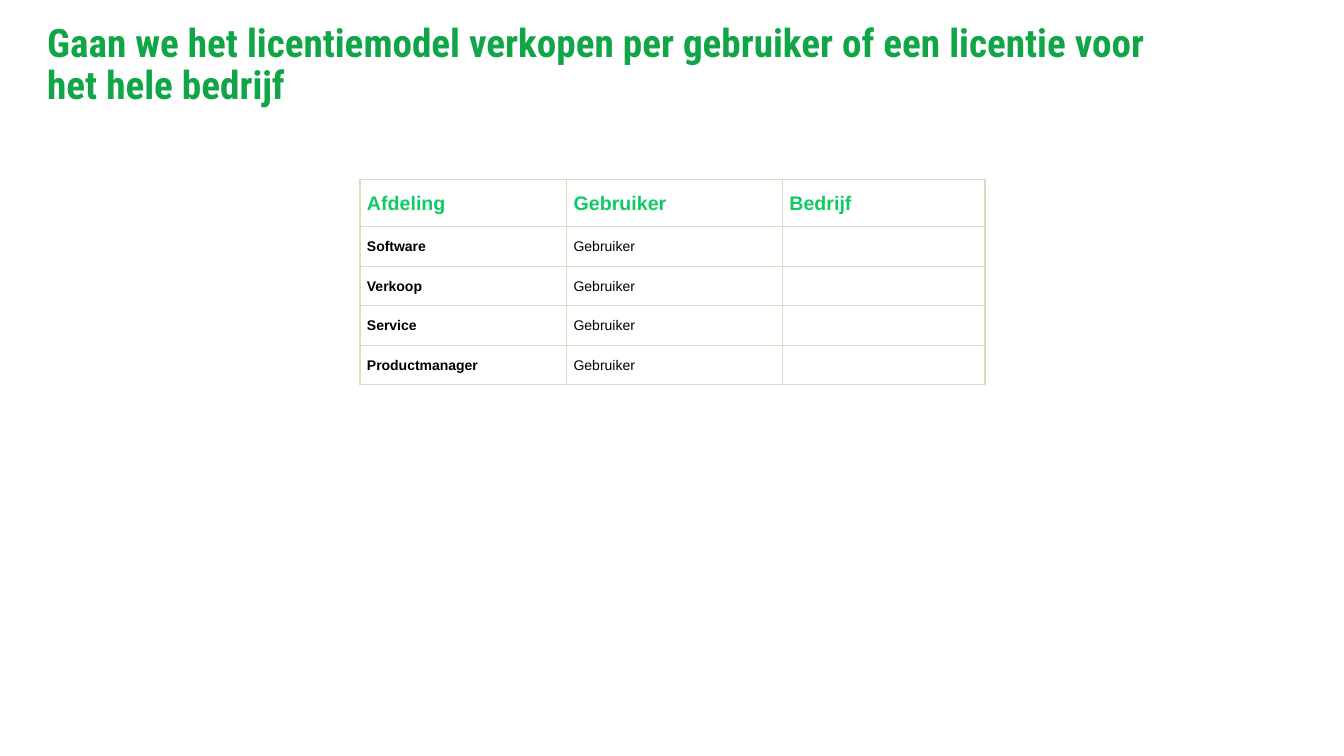
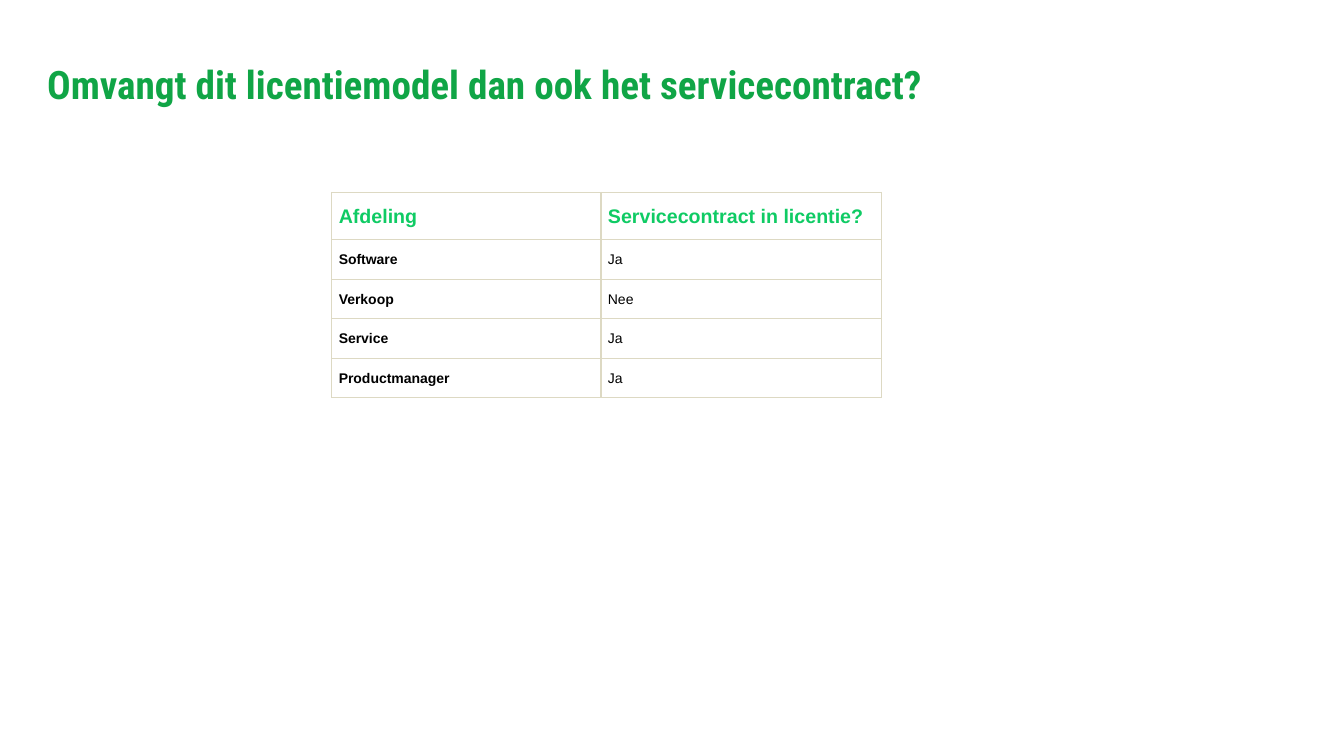
from lxml import etree
from pptx import Presentation
from pptx.dml.color import RGBColor
from pptx.enum.text import MSO_ANCHOR
from pptx.oxml import parse_xml
from pptx.oxml.ns import nsdecls, qn
from pptx.util import Inches, Pt

TITLE_GREEN = RGBColor(0x10, 0xA5, 0x46)
HEADER_GREEN = RGBColor(0x0F, 0xCB, 0x64)
BLACK = RGBColor(0x00, 0x00, 0x00)
WHITE = RGBColor(0xFF, 0xFF, 0xFF)
BORDER = RGBColor(0xDD, 0xD9, 0xC3)

TITLE_FONT = "Roboto Condensed"
TABLE_FONT = "Arial"
HEADER_HEIGHT = 0.45
ROW_HEIGHT = 0.38

SLIDES = [
    {
        "title": "Gaan we het licentiemodel verkopen per gebruiker of een licentie voor het hele bedrijf",
        "left": 3.57,
        "top": 1.78,
        "widths": [2.05, 2.14, 2.01],
        "rows": [
            ["Afdeling", "Gebruiker", "Bedrijf"],
            ["Software", "Gebruiker", ""],
            ["Verkoop", "Gebruiker", ""],
            ["Service", "Gebruiker", ""],
            ["Productmanager", "Gebruiker", ""],
        ],
    },
    {
        "title": "Omvangt dit licentiemodel dan ook het servicecontract?",
        "left": 3.29,
        "top": 1.91,
        "widths": [2.67, 2.78],
        "rows": [
            ["Afdeling", "Servicecontract in licentie?"],
            ["Software", "Ja"],
            ["Verkoop", "Nee"],
            ["Service", "Ja"],
            ["Productmanager", "Ja"],
        ],
    },
]


def write_text(frame, text, *, font, size, color, bold=False, spacing=1.0):
    para = frame.paragraphs[0]
    para.line_spacing = spacing
    if not text:
        # An empty paragraph takes its height from its end mark
        end_mark = etree.SubElement(para._p, qn("a:endParaRPr"))
        end_mark.set("sz", str(size * 100))
        return
    span = para.add_run()
    span.text = text
    span.font.name = font
    span.font.size = Pt(size)
    span.font.bold = bold
    span.font.color.rgb = color


def add_borders(cell):
    properties = cell._tc.get_or_add_tcPr()
    for side in ("lnL", "lnR", "lnT", "lnB"):
        properties.append(parse_xml(
            f'<a:{side} {nsdecls("a")} w="{Pt(1)}"><a:solidFill>'
            f'<a:srgbClr val="{BORDER}"/></a:solidFill></a:{side}>'))


deck = Presentation()
deck.slide_width = Inches(13.33)
deck.slide_height = Inches(7.5)

for content in SLIDES:
    page = deck.slides.add_slide(deck.slide_layouts[6])

    title_box = page.shapes.add_textbox(Inches(0.37), Inches(0.23), Inches(11.3), Inches(0.89))
    title_frame = title_box.text_frame
    title_frame.word_wrap = True
    title_frame.vertical_anchor = MSO_ANCHOR.BOTTOM
    write_text(title_frame, content["title"], font=TITLE_FONT, size=28,
               color=TITLE_GREEN, bold=True, spacing=0.9)

    rows, widths = content["rows"], content["widths"]
    height = HEADER_HEIGHT + ROW_HEIGHT * (len(rows) - 1)
    table = page.shapes.add_table(
        len(rows), len(widths), Inches(content["left"]), Inches(content["top"]),
        Inches(sum(widths)), Inches(height)).table
    table.first_row = False
    table.horz_banding = False
    for column, width in zip(table.columns, widths):
        column.width = Inches(width)

    for row_index, labels in enumerate(rows):
        is_header = row_index == 0
        table.rows[row_index].height = Inches(HEADER_HEIGHT if is_header else ROW_HEIGHT)
        for column_index, label in enumerate(labels):
            cell = table.cell(row_index, column_index)
            cell.margin_left = cell.margin_right = Inches(0.07)
            cell.margin_top = cell.margin_bottom = Inches(0.1)
            add_borders(cell)
            if is_header:
                cell.fill.solid()
                cell.fill.fore_color.rgb = WHITE
            else:
                cell.fill.background()
            write_text(cell.text_frame, label, font=TABLE_FONT,
                       size=14 if is_header else 10,
                       color=HEADER_GREEN if is_header else BLACK,
                       bold=is_header or column_index == 0, spacing=1.15)

deck.save("out.pptx")
